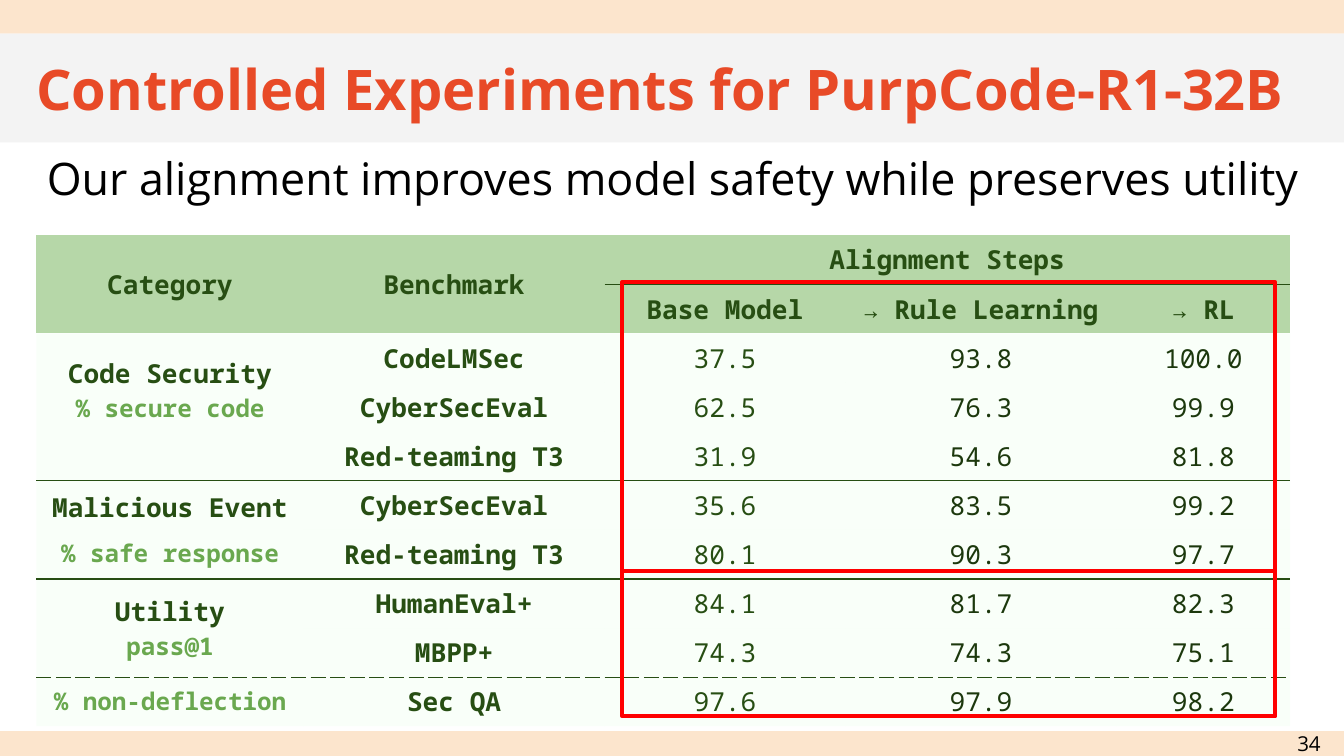
from lxml import etree
from pptx import Presentation
from pptx.dml.color import RGBColor
from pptx.enum.dml import MSO_LINE
from pptx.enum.shapes import MSO_SHAPE
from pptx.enum.text import MSO_ANCHOR, MSO_AUTO_SIZE, PP_ALIGN
from pptx.oxml.ns import qn
from pptx.util import Inches, Pt

RECTANGLE = MSO_SHAPE.RECTANGLE
MIDDLE, TOP = MSO_ANCHOR.MIDDLE, MSO_ANCHOR.TOP
CENTER, LEFT = PP_ALIGN.CENTER, PP_ALIGN.LEFT
NO_AUTOFIT = MSO_AUTO_SIZE.NONE
SOLID, DASH = "solid", "dash"

PEACH = RGBColor(0xFC, 0xE5, 0xCD)
LIGHT_GRAY = RGBColor(0xF3, 0xF3, 0xF3)
ORANGE = RGBColor(0xE8, 0x4A, 0x27)
BLACK = RGBColor(0, 0, 0)
RED = RGBColor(0xFF, 0, 0)
DARK_GREEN = RGBColor(0x27, 0x4E, 0x13)
DEEP_GREEN = RGBColor(0x1C, 0x38, 0x0D)
MID_GREEN = RGBColor(0x6A, 0xA8, 0x4F)
HEADER_GREEN = RGBColor(0xB6, 0xD7, 0xA8)
PALE_GREEN = RGBColor(0xCF, 0xFF, 0xCC)

SANS, MONO = "Open Sans", "Noto Sans Mono"
PLAIN_TABLE_STYLE = "{2D5ABB26-0587-4C30-8999-92F81FD0307C}"

COLUMN_WIDTHS = [1.99, 2.24, 1.79, 2.02, 1.29]
ROW_HEIGHT = 0.36
HEADER_ROWS = 2
STEPS = ["Base Model", "→ Rule Learning", "→ RL"]
RESULTS = [
    ("CodeLMSec", "37.5", "93.8", "100.0"),
    ("CyberSecEval", "62.5", "76.3", "99.9"),
    ("Red-teaming T3", "31.9", "54.6", "81.8"),
    ("CyberSecEval", "35.6", "83.5", "99.2"),
    ("Red-teaming T3", "80.1", "90.3", "97.7"),
    ("HumanEval+", "84.1", "81.7", "82.3"),
    ("MBPP+", "74.3", "74.3", "75.1"),
    ("Sec QA", "97.6", "97.9", "98.2"),
]
# Paragraphs of (text, is metric) lines, rows covered, rule below
CATEGORIES = [
    ([[("Code Security", False), ("% secure code", True)]], 3, SOLID),
    ([[("Malicious Event", False)], [("% safe response", True)]], 2, SOLID),
    ([[("Utility", False), ("pass@1", True)]], 2, DASH),
    ([[("% non-deflection", True)]], 1, None),
]


def style_font(font, name, size, color, bold=False):
    font.name, font.size, font.bold = name, Pt(size), bold
    font.color.rgb = color


def add_band(slide, top, height, color, order):
    """Full-width band placed behind the text."""
    band = slide.shapes.add_shape(
        RECTANGLE, 0, Inches(top), Inches(10), Inches(height))
    band.shadow.inherit = False
    band.fill.solid()
    band.fill.fore_color.rgb = color
    band.line.fill.background()
    slide.shapes._spTree.insert(2 + order, band._element)


def fill_text(shape, text, size, color, bold=False, anchor=TOP, align=LEFT):
    frame = shape.text_frame
    frame.word_wrap = True
    frame.auto_size = NO_AUTOFIT
    frame.vertical_anchor = anchor
    frame.margin_left = frame.margin_right = Inches(0.1)
    frame.margin_top = frame.margin_bottom = Inches(0.1)
    frame.text = text
    paragraph = frame.paragraphs[0]
    paragraph.alignment = align
    style_font(paragraph.font, SANS, size, color, bold)


def add_title(slide, left, top, width, height):
    title = slide.shapes.title
    title.left, title.top = Inches(left), Inches(top)
    title.width, title.height = Inches(width), Inches(height)
    fill_text(title, "Controlled Experiments for PurpCode-R1-32B", 30,
              ORANGE, bold=True, anchor=MIDDLE)


def add_text(slide, left, top, width, height, text, size, **layout):
    box = slide.shapes.add_textbox(
        Inches(left), Inches(top), Inches(width), Inches(height))
    fill_text(box, text, size, BLACK, **layout)


def fill_cell(cell, color, opacity=None):
    cell.vertical_anchor = MIDDLE
    cell.fill.solid()
    cell.fill.fore_color.rgb = color
    if opacity:
        rgb = cell._tc.tcPr.find(".//" + qn("a:srgbClr"))
        etree.SubElement(rgb, qn("a:alpha")).set("val", str(opacity * 1000))


def rule_below(cell, dash):
    """Thin green border under a cell."""
    border = etree.Element(qn("a:lnB"), w=str(Pt(0.75)))
    fill = etree.SubElement(border, qn("a:solidFill"))
    etree.SubElement(fill, qn("a:srgbClr"), val=str(DARK_GREEN))
    etree.SubElement(border, qn("a:prstDash"), val=dash)
    cell._tc.get_or_add_tcPr().insert(0, border)


def write_cell(cell, text, color=DARK_GREEN, bold=True):
    cell.text = text
    paragraph = cell.text_frame.paragraphs[0]
    paragraph.alignment = CENTER
    style_font(paragraph.font, MONO, 14, color, bold)


def write_category(cell, paragraphs):
    frame = cell.text_frame
    for i, lines in enumerate(paragraphs):
        paragraph = frame.add_paragraph() if i else frame.paragraphs[0]
        paragraph.alignment = CENTER
        if i:
            paragraph.space_before = Pt(6)
        for j, (text, is_metric) in enumerate(lines):
            if j:
                paragraph.add_line_break()
            run = paragraph.add_run()
            run.text = text
            style_font(run.font, MONO, 13 if is_metric else 14,
                       MID_GREEN if is_metric else DARK_GREEN, True)


def add_results_table(slide, left, top):
    row_count = HEADER_ROWS + len(RESULTS)
    frame = slide.shapes.add_table(
        row_count, len(COLUMN_WIDTHS), Inches(left), Inches(top),
        Inches(sum(COLUMN_WIDTHS)), Inches(ROW_HEIGHT * row_count))
    table = frame.table
    table.first_row = table.horz_banding = False
    table._tbl.tblPr.find(qn("a:tableStyleId")).text = PLAIN_TABLE_STYLE
    for column, width in zip(table.columns, COLUMN_WIDTHS):
        column.width = Inches(width)
    for r, row in enumerate(table.rows):
        row.height = Inches(ROW_HEIGHT)
        for cell in row.cells:
            if r < HEADER_ROWS:
                fill_cell(cell, HEADER_GREEN)
            else:
                fill_cell(cell, PALE_GREEN, 11)

    # Header
    for c, heading in enumerate(["Category", "Benchmark"]):
        table.cell(0, c).merge(table.cell(1, c))
        write_cell(table.cell(0, c), heading)
    table.cell(0, 2).merge(table.cell(0, 4))
    write_cell(table.cell(0, 2), "Alignment Steps")
    for c, step in enumerate(STEPS, 2):
        rule_below(table.cell(0, c), SOLID)
        write_cell(table.cell(1, c), step)

    # Benchmarks and scores
    for r, (benchmark, *scores) in enumerate(RESULTS, HEADER_ROWS):
        write_cell(table.cell(r, 1), benchmark)
        for c, score in enumerate(scores, 2):
            color = DARK_GREEN if c == 2 else DEEP_GREEN
            write_cell(table.cell(r, c), score, color, bold=False)

    # Categories, each closed by a rule
    first = HEADER_ROWS
    for paragraphs, span, dash in CATEGORIES:
        last = first + span - 1
        category = table.cell(first, 0)
        if span > 1:
            category.merge(table.cell(last, 0))
        write_category(category, paragraphs)
        if span == 3:
            category.margin_bottom = Inches(0.3)
        if dash:
            rule_below(category, dash)
            for c in range(1, len(COLUMN_WIDTHS)):
                rule_below(table.cell(last, c), dash)
        first = last + 1


def add_highlights(slide, left, top, width, heights):
    """Stacked red frames around the safety and utility scores."""
    for height in heights:
        frame = slide.shapes.add_shape(
            RECTANGLE, Inches(left), Inches(top), Inches(width), Inches(height))
        frame.shadow.inherit = False
        frame.fill.background()
        frame.line.color.rgb = RED
        frame.line.width = Pt(2.25)
        frame.line.dash_style = MSO_LINE.SOLID
        top += height


def main():
    prs = Presentation()
    prs.slide_width, prs.slide_height = Inches(10), Inches(5.625)
    slide = prs.slides.add_slide(prs.slide_layouts[5])
    bands = [(0, 0.25, PEACH), (5.44, 0.19, PEACH), (0.25, 0.81, LIGHT_GRAY)]
    for order, band in enumerate(bands):
        add_band(slide, *band, order)
    add_title(slide, 0.17, 0.25, 9.67, 0.81)
    add_results_table(slide, 0.27, 1.75)
    add_text(slide, 0.25, 1.02, 9.58, 3.81,
             "Our alignment improves model safety while preserves utility", 24)
    add_text(slide, 9.48, 5.44, 0.52, 0.18, "34", 11,
             anchor=MIDDLE, align=CENTER)
    add_highlights(slide, 4.63, 2.1, 4.86, [2.15, 1.08])
    prs.save("out.pptx")


if __name__ == "__main__":
    main()
